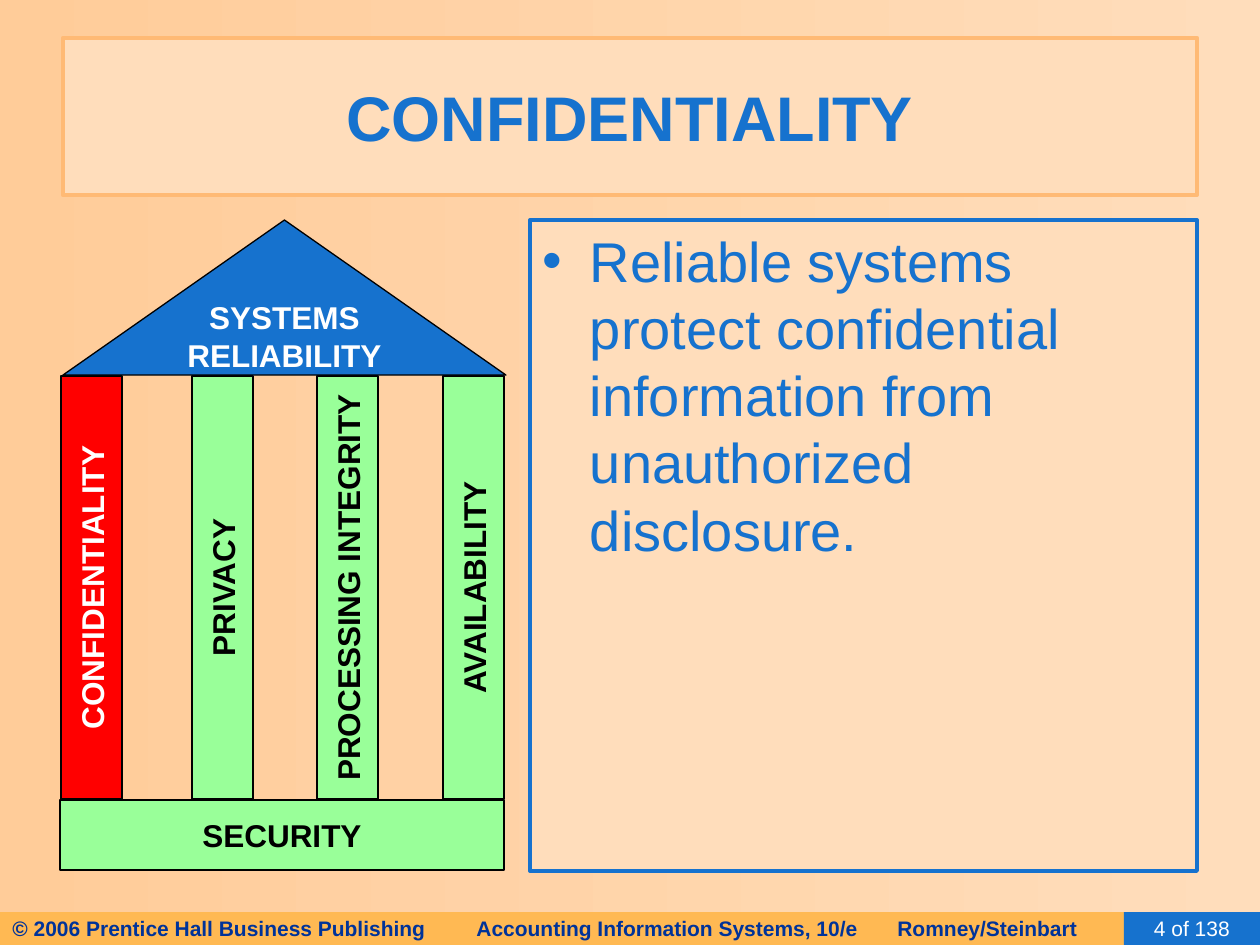
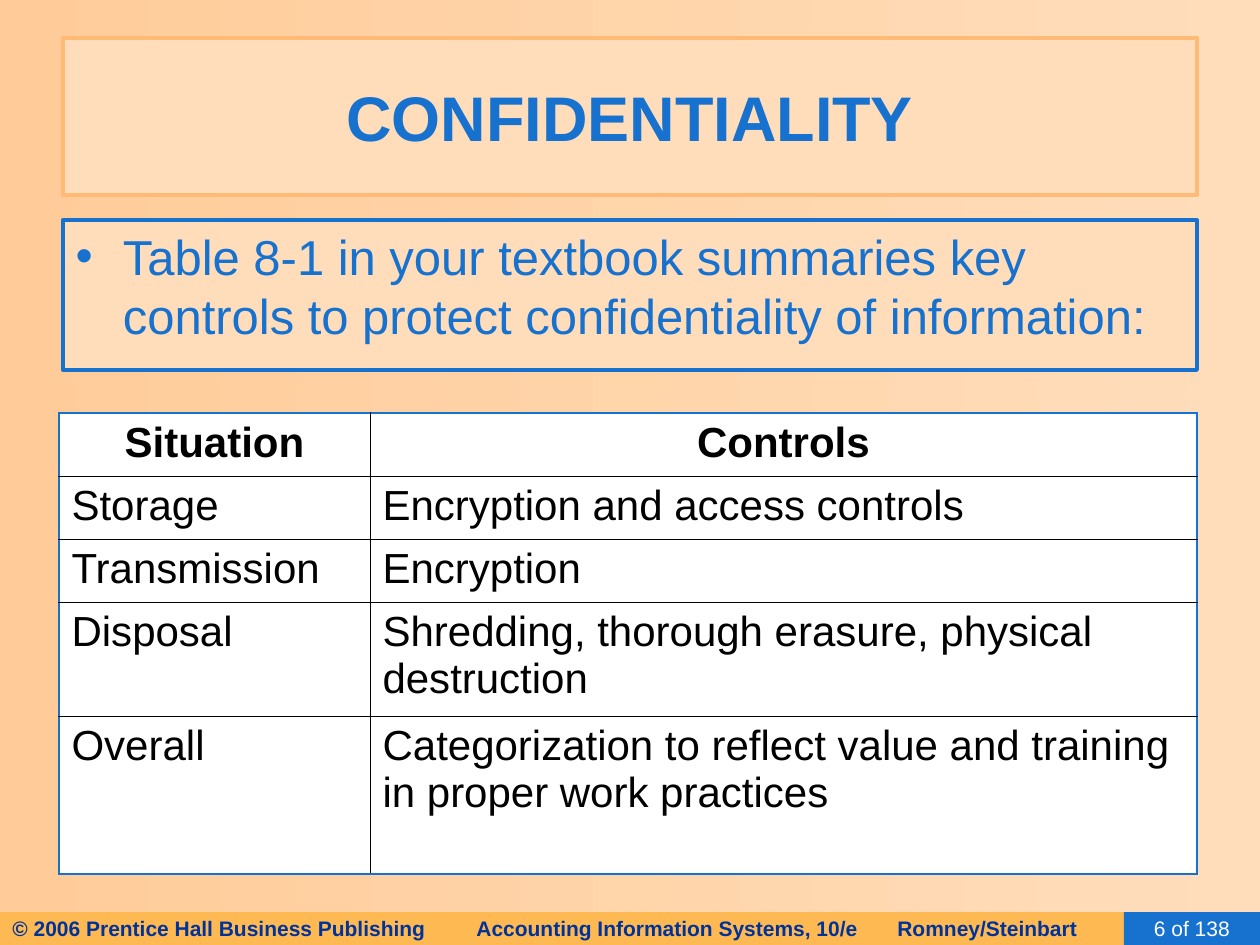
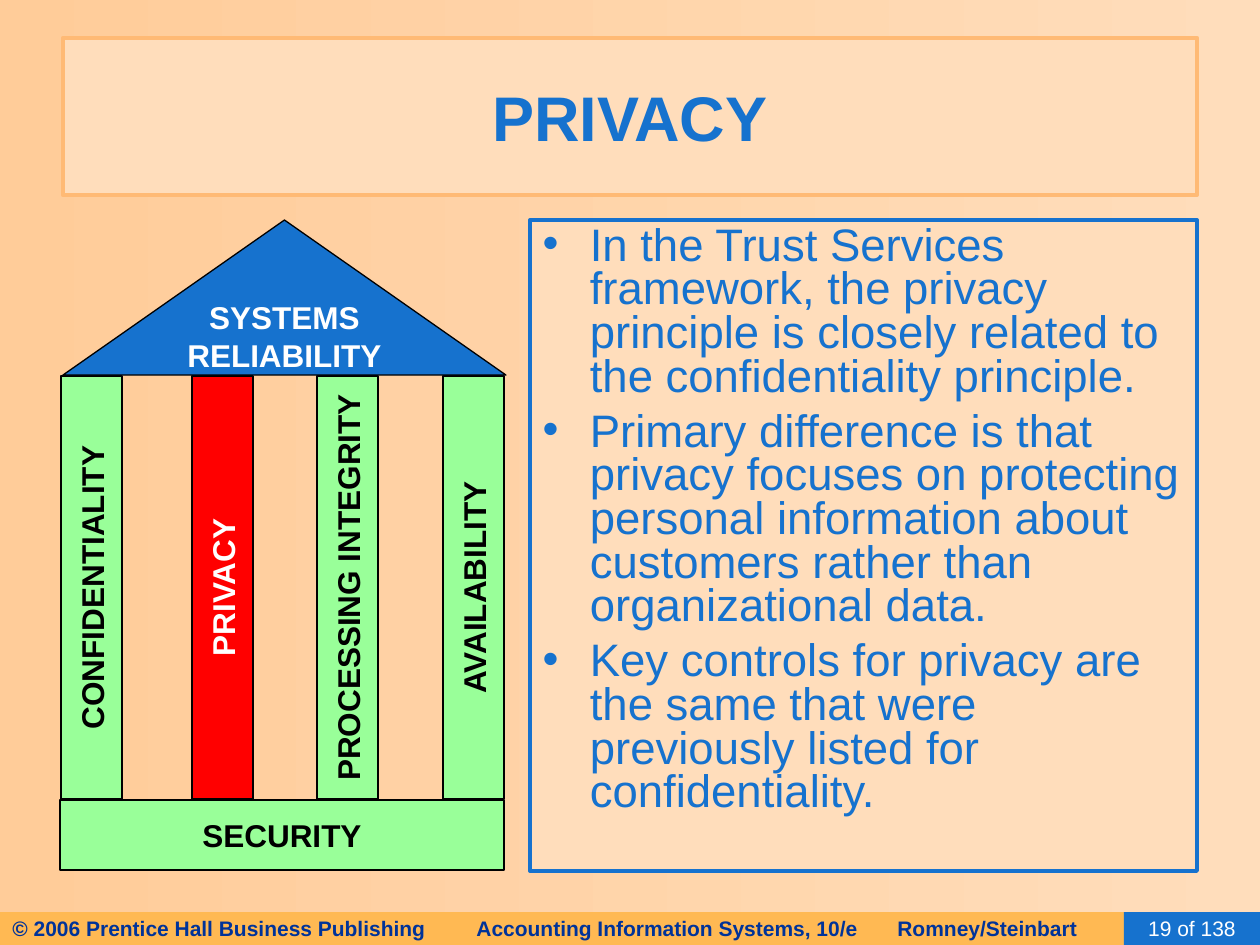
from lxml import etree
from pptx import Presentation
from pptx.dml.color import RGBColor
from pptx.enum.shapes import MSO_SHAPE
from pptx.enum.text import MSO_ANCHOR, MSO_AUTO_SIZE, PP_ALIGN
from pptx.oxml.ns import qn
from pptx.util import Emu, Pt

RECT, ROOF = MSO_SHAPE.RECTANGLE, MSO_SHAPE.ISOSCELES_TRIANGLE
LEFT, CENTER = PP_ALIGN.LEFT, PP_ALIGN.CENTER
TOP, MIDDLE = MSO_ANCHOR.TOP, MSO_ANCHOR.MIDDLE
NO_FIT = MSO_AUTO_SIZE.NONE

FONT = "Arial"
BLUE, NAVY, WHITE, BLACK = "1672CE", "003399", "FFFFFF", "000000"
CREAM, PEACH, EDGE, AMBER = "FFDDBB", "FFCC99", "FFBA75", "FFB953"
GREEN, RED = "99FF99", "FF0000"

PAGES = 138
CREDIT = ("© 2006 Prentice Hall Business Publishing\t"
          "Accounting Information Systems, 10/e\tRomney/Steinbart")
STOPS = (464, 885)
PILLARS = {"CONFIDENTIALITY": -120, "PRIVACY": 11,
           "PROCESSING INTEGRITY": 136, "AVAILABILITY": 262}
SIDE_BOX = (530, 220, 667, 651)
WIDE_BOX = (63, 220, 1134, 150)
COLS = (311, 827)
ROWS = (63, 63, 63, 114, 158)
CELLS = (
    ("Situation", "Controls"),
    ("Storage", "Encryption and access controls"),
    ("Transmission", "Encryption"),
    ("Disposal", "Shredding, thorough erasure, physical destruction"),
    ("Overall", "Categorization to reflect value and training "
                "in proper work practices"),
)


def px(count):
    """Turn pixels into EMU."""
    return Emu(round(count * 914400 / 126))


def color(code):
    """Turn a hex string into a colour."""
    return RGBColor.from_string(code)


def place(shape, box):
    """Move and size a shape."""
    shape.left, shape.top, shape.width, shape.height = map(px, box)


def paint(shape, fill, line=None, width=0.75):
    """Fill a shape and draw its outline."""
    shape.fill.solid()
    shape.fill.fore_color.rgb = color(fill)
    if line:
        shape.line.color.rgb = color(line)
        shape.line.width = Pt(width)
    else:
        shape.line.fill.background()


def write(frame, lines, size, ink, bold=False, align=CENTER, gap=0, lead=1.0):
    """Write one paragraph for each line."""
    for num, line in enumerate(lines):
        par = frame.add_paragraph() if num else frame.paragraphs[0]
        par.alignment = align
        par.line_spacing = lead
        par.space_before = Pt(gap if num else 0)
        run = par.add_run()
        run.text = line
        font = run.font
        font.name, font.size, font.bold = FONT, Pt(size), bold
        font.color.rgb = color(ink)


def block(slide, box, fill, lines, size=18, ink=BLACK, bold=True,
          kind=RECT, line=BLACK, align=CENTER, wrap=False):
    """Add a filled shape with a label."""
    shape = slide.shapes.add_shape(kind, *map(px, box))
    shape.shadow.inherit = False
    paint(shape, fill, line)
    frame = shape.text_frame
    frame.word_wrap = wrap
    frame.vertical_anchor = MIDDLE
    write(frame, lines, size, ink, bold, align)
    return shape


def footer(slide, page):
    """Add the credit band and the page box."""
    band = block(slide, (0, 912, 1166, 33), AMBER, [CREDIT], 12, NAVY,
                 line=None, align=LEFT, wrap=True)
    props = band.text_frame.paragraphs[0]._p.get_or_add_pPr()
    tabs = etree.SubElement(props, qn("a:tabLst"))
    for stop in STOPS:
        etree.SubElement(tabs, qn("a:tab"), pos=str(px(stop)), algn="l")
    block(slide, (1124, 912, 136, 33), BLUE, [f"{page} of {PAGES}"], 12,
          WHITE, False, line=None, wrap=True)


def start(deck, title, page):
    """Add a slide with its title and footer."""
    slide = deck.slides.add_slide(deck.slide_layouts[1])
    head = slide.shapes.title
    place(head, (63, 38, 1134, 157))
    paint(head, CREAM, EDGE, 2.5)
    head.text_frame.auto_size = NO_FIT
    head.text_frame.vertical_anchor = MIDDLE
    write(head.text_frame, [title], 36, BLUE, True)
    footer(slide, page)
    return slide


def bullets(slide, box, lines, size, gap=0, lead=1.0):
    """Fill the body placeholder with a list."""
    body = slide.placeholders[1]
    place(body, box)
    paint(body, CREAM, BLUE, 2.25)
    body.text_frame.auto_size = NO_FIT
    body.text_frame.vertical_anchor = TOP
    write(body.text_frame, lines, size, BLUE, align=LEFT, gap=gap, lead=lead)


def temple(slide, chosen):
    """Draw the reliability temple with one pillar in red."""
    block(slide, (60, 800, 444, 70), GREEN, ["SECURITY"])
    for name, left in PILLARS.items():
        fill, ink = (RED, WHITE) if name == chosen else (GREEN, BLACK)
        pillar = block(slide, (left, 557, 423, 61), fill, [name], ink=ink)
        pillar.rotation = 270
    block(slide, (63, 220, 443, 155), BLUE, ["SYSTEMS", "RELIABILITY"],
          ink=WHITE, kind=ROOF)


def border(cell, side, outer):
    """Draw one side of a cell."""
    ink, width = (BLUE, 1.08) if outer else (BLACK, 0.45)
    line = etree.SubElement(cell._tc.get_or_add_tcPr(), qn(f"a:ln{side}"),
                            w=str(Pt(width)))
    fill = etree.SubElement(line, qn("a:solidFill"))
    etree.SubElement(fill, qn("a:srgbClr"), val=ink)


def grid(slide):
    """Add the table of situations and controls."""
    box = (59, 413, sum(COLS), sum(ROWS))
    table = slide.shapes.add_table(len(ROWS), len(COLS), *map(px, box)).table
    table.first_row = table.horz_banding = False
    for col, width in zip(table.columns, COLS):
        col.width = px(width)
    for y, (row, height) in enumerate(zip(table.rows, ROWS)):
        row.height = px(height)
        for x, cell in enumerate(row.cells):
            border(cell, "L", x == 0)
            border(cell, "R", x == len(COLS) - 1)
            border(cell, "T", y == 0)
            border(cell, "B", y == len(ROWS) - 1)
            cell.fill.solid()
            cell.fill.fore_color.rgb = color(WHITE)
            write(cell.text_frame, [CELLS[y][x]], 24, BLACK, y == 0,
                  LEFT if y else CENTER)


def backdrop(deck):
    """Give all slides the same gradient."""
    fill = deck.slide_master.background.fill
    fill.gradient()
    fill.gradient_angle = 180
    for stop, code in zip(fill.gradient_stops, (CREAM, PEACH)):
        stop.color.rgb = color(code)


def main():
    """Build and save the deck."""
    deck = Presentation()
    deck.slide_width, deck.slide_height = px(1260), px(945)
    backdrop(deck)

    slide = start(deck, "CONFIDENTIALITY", 4)
    bullets(slide, SIDE_BOX, [
        "Reliable systems protect confidential information from "
        "unauthorized disclosure."], 32)
    temple(slide, "CONFIDENTIALITY")

    slide = start(deck, "CONFIDENTIALITY", 6)
    bullets(slide, WIDE_BOX, [
        "Table 8-1 in your textbook summaries key controls to protect "
        "confidentiality of information:"], 28)
    grid(slide)

    slide = start(deck, "PRIVACY", 19)
    bullets(slide, SIDE_BOX, [
        "In the Trust Services framework, the privacy principle is closely "
        "related to the confidentiality principle.",
        "Primary difference is that privacy focuses on protecting personal "
        "information about customers rather than organizational data.",
        "Key controls for privacy are the same that were previously listed "
        "for confidentiality."], 26, 6.5, 0.8)
    temple(slide, "PRIVACY")

    deck.save("out.pptx")


if __name__ == "__main__":
    main()
